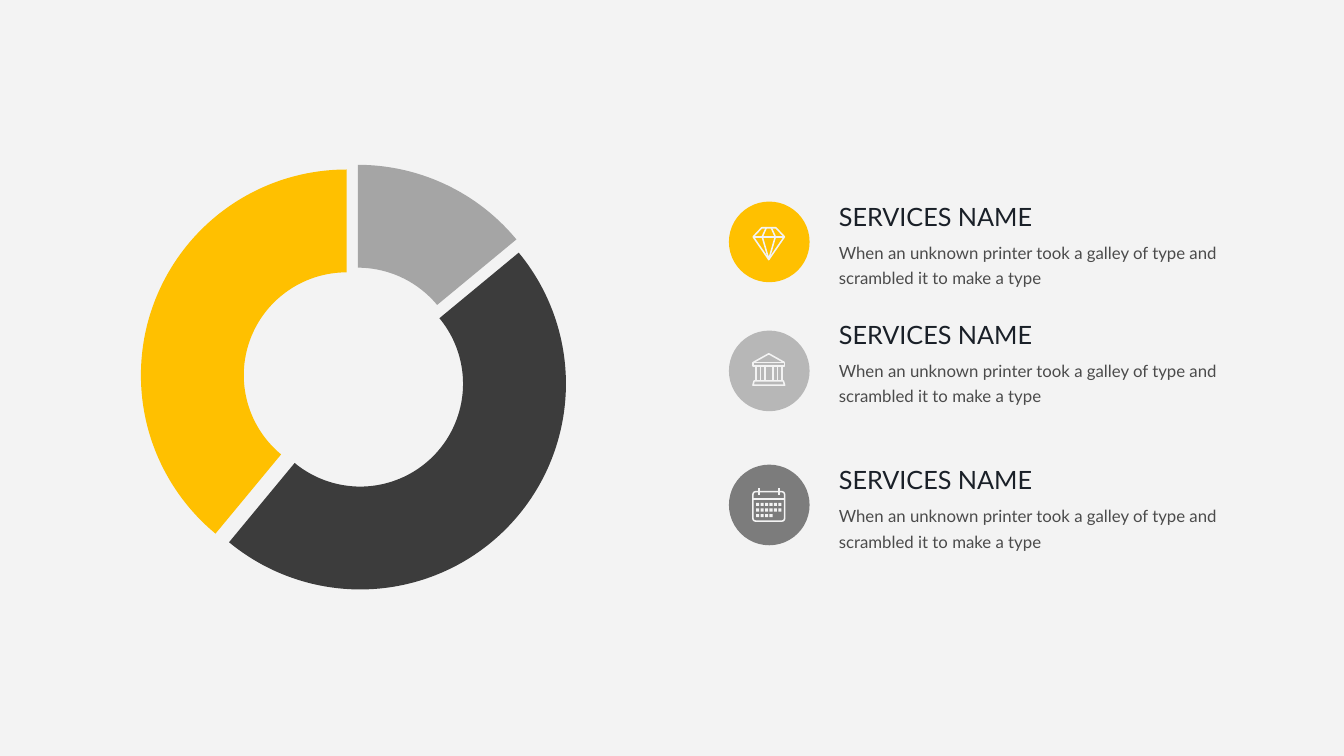
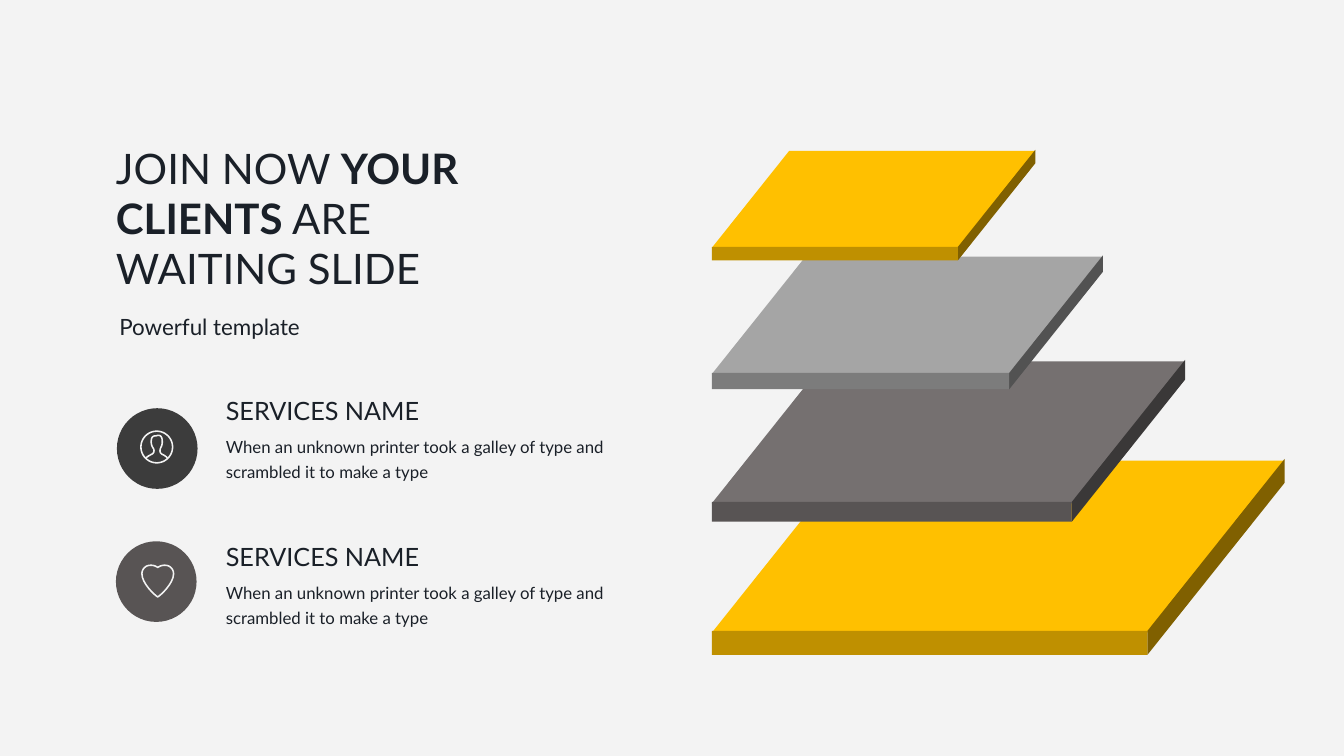
from dataclasses import dataclass
from math import cos, pi, sin

from lxml import etree
from pptx import Presentation
from pptx.chart.data import CategoryChartData
from pptx.dml.color import RGBColor
from pptx.enum.chart import XL_CHART_TYPE
from pptx.enum.shapes import MSO_SHAPE
from pptx.enum.text import PP_ALIGN
from pptx.util import Inches, Pt

DOUGHNUT = XL_CHART_TYPE.DOUGHNUT
OVAL, RECT = MSO_SHAPE.OVAL, MSO_SHAPE.RECTANGLE
CENTER, LEFT = PP_ALIGN.CENTER, PP_ALIGN.LEFT


@dataclass(frozen=True)
class Theme:
    paper: str = "F3F3F3"
    ink: str = "1A2028"
    text: str = "4B4B4B"
    yellow: str = "FFC000"
    ochre: str = "BF9000"
    brown: str = "806000"
    dark: str = "3C3C3C"
    light: str = "A5A5A5"
    silver: str = "B7B7B7"
    mid: str = "7C7C7C"
    shade: str = "525252"
    warm: str = "757070"
    warm_mid: str = "585454"
    warm_dark: str = "3A3838"
    font: str = "Lato"
    chart_font: str = "Calibri"
    title: int = 30
    subtitle: int = 16
    heading: int = 18
    body: int = 12
    icon_line: float = 1.1


T = Theme()

SERVICE = "SERVICES NAME"
DETAIL = ("When an unknown printer took a galley of type and "
          "scrambled it to make a type")
TITLE = [("JOIN NOW ", False), ("YOUR CLIENTS", True), (" ARE WAITING SLIDE", False)]
SUBTITLE = "Powerful template"

SHARES = [("1", 14, T.light), ("2", 47, T.dark), ("3", 39, T.yellow)]

# icon, disc colour, disc left and top, icon left and top, text top
SHARE_SERVICES = [
    ("diamond", T.yellow, (7.23, 2), (7.46, 2.25), 2),
    ("bank", T.silver, (7.23, 3.28), (7.46, 3.5), 3.17),
    ("calendar", T.mid, (7.23, 4.61), (7.46, 4.84), 4.61),
]
CLIENT_SERVICES = [
    ("person", T.dark, (1.16, 4.05), (1.39, 4.27), 3.92),
    ("heart", T.warm_mid, (1.15, 5.37), (1.4, 5.6), 5.37),
]

# front edge top, front width, then colours of top, side and front
SLABS = [
    (6.26, 4.32, T.yellow, T.brown, T.ochre),
    (4.98, 3.57, T.warm, T.warm_dark, T.warm_mid),
    (3.7, 2.95, T.light, T.shade, T.mid),
    (2.45, 2.44, T.yellow, T.brown, T.ochre),
]
SLAB_LEFT = 7.06
SHIFT, DEPTH, THICK, OVERLAP = 0.315, 0.395, 0.055, 0.004  # shares of width


def curve(start, *cubics, steps=8):
    """Sample cubic Bezier segments (x1, y1, x2, y2, x, y) into points."""
    points = [start]
    for x1, y1, x2, y2, x3, y3 in cubics:
        x0, y0 = points[-1]
        for i in range(1, steps + 1):
            t = i / steps
            a, b, c, d = (1 - t) ** 3, 3 * t * (1 - t) ** 2, 3 * t * t * (1 - t), t ** 3
            points.append((a * x0 + b * x1 + c * x2 + d * x3,
                           a * y0 + b * y1 + c * y2 + d * y3))
    return points


def box(left, top, right, bottom):
    return [(left, top), (right, top), (right, bottom), (left, bottom), (left, top)]


# Icon strokes, in hundredths of an inch
ICONS = {
    "diamond": [
        [(9.5, 1), (23.5, 1), (32, 10), (16.5, 32.5), (1, 10), (9.5, 1)],
        [(1, 10), (32, 10)],
        [(14, 1), (10, 10), (16.5, 32.5), (23, 10), (19, 1)],
    ],
    "bank": [
        [(1, 9.7), (16.5, 1), (32, 9.7)],
        box(0.8, 9.7, 32.2, 13),
        *[[(x, 13), (x, 28)] for x in (3.7, 8.5, 13, 20.5, 25, 29.7)],
        [(2, 28), (31, 28), (32.2, 32.2), (0.8, 32.2), (2, 28)],
    ],
    "calendar": [
        curve((4, 3.8), (14, 3.8, 19, 3.8, 29, 3.8), (31, 3.8, 32.2, 5, 32.2, 7),
              (32.2, 15, 32.2, 22, 32.2, 30), (32.2, 32, 31, 33, 29, 33),
              (19, 33, 14, 33, 4, 33), (2, 33, 0.8, 32, 0.8, 30),
              (0.8, 22, 0.8, 15, 0.8, 7), (0.8, 5, 2, 3.8, 4, 3.8)),
        [(0.8, 11.3), (32.2, 11.3)],
        [(7, 0.5), (7, 7)],
        [(26.5, 0.5), (26.5, 7)],
    ],
    "person": [
        [(16.5 + 15.7 * cos(i * pi / 24), 16.5 + 15.7 * sin(i * pi / 24))
         for i in range(49)],
        curve((5.5, 27.5), (8, 25.5, 9, 25, 11.5, 23.7), (14, 22.5, 14, 20.5, 13.5, 18.5),
              (12.5, 17, 11, 15, 11, 11), (11, 5.5, 14, 5.5, 15.5, 5.5),
              (17, 5.2, 17.5, 4.7, 18.5, 5), (19, 5, 22, 5, 22, 11),
              (22, 15.5, 20.5, 16.5, 20, 18.5), (19.5, 20.5, 19.5, 22.5, 22, 23.8),
              (24.5, 25, 26, 26, 27, 27.5)),
    ],
    "heart": [
        curve((16.5, 3), (14.5, 1.5, 12, 0.8, 9.3, 0.8), (4.5, 0.8, 0.8, 4.5, 0.8, 9.3),
              (0.8, 19, 14, 31, 16.5, 32.2), (19, 31, 32.2, 19, 32.2, 9.3),
              (32.2, 4.5, 28.5, 0.8, 23.7, 0.8), (21, 0.8, 18.5, 1.5, 16.5, 3)),
    ],
}
CALENDAR_DAYS = [box(x, y, x + 3, y + 3)
                 for row, days in enumerate((6, 6, 4))
                 for x, y in ((4 + 4.4 * day, 15 + 5.5 * row) for day in range(days))]


def rgb(color):
    return RGBColor.from_string(color)


def paint(sp, fill=None, line=None):
    sp.shadow.inherit = False
    if fill:
        sp.fill.solid()
        sp.fill.fore_color.rgb = rgb(fill)
    else:
        sp.fill.background()
    if line:
        sp.line.color.rgb = rgb(line)
        sp.line.width = Pt(T.icon_line)
    else:
        sp.line.fill.background()


def add_preset(slide, kind, left, top, width, height, fill):
    sp = slide.shapes.add_shape(kind, Inches(left), Inches(top),
                                Inches(width), Inches(height))
    paint(sp, fill)


def add_outline(slide, contours, fill=None, line=None):
    """Draw one freeform from contours given as points in inches."""
    contours = [[(Inches(x), Inches(y)) for x, y in points] for points in contours]
    builder = slide.shapes.build_freeform(*contours[0][0])
    for i, points in enumerate(contours):
        if i:
            builder.move_to(*points[0])
        builder.add_line_segments(points[1:], close=points[0] == points[-1])
    paint(builder.convert_to_shape(), fill, line)


def add_icon(slide, name, left, top):
    def place(contours):
        return [[(left + x / 100, top + y / 100) for x, y in points]
                for points in contours]

    add_outline(slide, place(ICONS[name]), line=T.paper)
    if name == "calendar":
        add_outline(slide, place(CALENDAR_DAYS), fill=T.paper)


def add_text(slide, at, runs, size, color=T.ink, wrap=True, align=LEFT, spacing=None):
    tf = slide.shapes.add_textbox(*map(Inches, at)).text_frame
    tf.margin_left = tf.margin_right = tf.margin_top = tf.margin_bottom = 0
    tf.word_wrap = wrap
    p = tf.paragraphs[0]
    p.alignment = align
    if spacing:
        p.line_spacing = spacing
    p.font.name, p.font.size = T.font, Pt(size)
    p.font.color.rgb = rgb(color)
    for text, bold in runs:
        r = p.add_run()
        r.text = text
        r.font.bold = bold


def add_services(slide, services, text_left, detail_color):
    for icon, color, disc, icon_at, top in services:
        add_preset(slide, OVAL, *disc, 0.8, 0.8, color)
        add_icon(slide, icon, *icon_at)
        add_text(slide, (text_left, top, 1.96, 0.3), [(SERVICE, False)],
                 T.heading, wrap=False)
        add_text(slide, (text_left, top + 0.36, 4.2, 0.55), [(DETAIL, False)],
                 T.body, detail_color, spacing=1.25)


def add_share_chart(slide):
    data = CategoryChartData()
    data.categories = [name for name, _, _ in SHARES]
    data.add_series("Series 1", [value for _, value, _ in SHARES])
    chart = slide.shapes.add_chart(DOUGHNUT, Inches(1.12), Inches(1.49),
                                   Inches(4.79), Inches(4.52), data).chart
    chart.has_title = chart.has_legend = False
    chart.font.name, chart.font.size = T.chart_font, Pt(18)
    chart.font.color.rgb = rgb(T.text)
    plot = chart.plots[0]
    plot.vary_by_categories = True
    series = plot.series[0]
    for i, (_, _, color) in enumerate(SHARES):
        fmt = series.points[i].format
        fmt.fill.solid()
        fmt.fill.fore_color.rgb = rgb(color)
        fmt.line.fill.background()
    root = chart.element
    ns = root.nsmap["c"]
    explosion = etree.Element(f"{{{ns}}}explosion", val="8")
    root.find(f".//{{{ns}}}dPt").addprevious(explosion)
    root.find(f".//{{{ns}}}holeSize").set("val", "69")


def add_slab(slide, front, width, top_color, side_color, front_color):
    left, right = SLAB_LEFT, SLAB_LEFT + width
    shift, thick, lap = width * SHIFT, width * THICK, width * OVERLAP
    back = front - width * DEPTH
    top = [(right, front + lap), (left, front + lap), (left + shift, back + lap),
           (right + shift, back + lap), (right, front + lap)]
    side = [(right + shift, back), (right + shift, back + thick),
            (right, front + thick), (right, front), (right + shift, back)]
    add_outline(slide, [top], fill=top_color)
    add_outline(slide, [side], fill=side_color)
    add_preset(slide, RECT, left, front, width, thick, front_color)


def build_shares(slide):
    add_share_chart(slide)
    add_services(slide, SHARE_SERVICES, 8.32, T.text)


def build_clients(slide):
    for slab in SLABS:
        add_slab(slide, *slab)
    add_text(slide, (1.15, 1.41, 3.55, 1.51), TITLE, T.title)
    add_text(slide, (1.15, 3.11, 1.86, 0.27), [(SUBTITLE, False)], T.subtitle,
             wrap=False, align=CENTER)
    add_services(slide, CLIENT_SERVICES, 2.24, T.ink)


def main():
    prs = Presentation()
    prs.slide_width, prs.slide_height = Inches(13.33), Inches(7.5)
    background = prs.slide_master.background.fill
    background.solid()
    background.fore_color.rgb = rgb(T.paper)
    for build in (build_shares, build_clients):
        build(prs.slides.add_slide(prs.slide_layouts[6]))
    prs.save("out.pptx")


if __name__ == "__main__":
    main()
